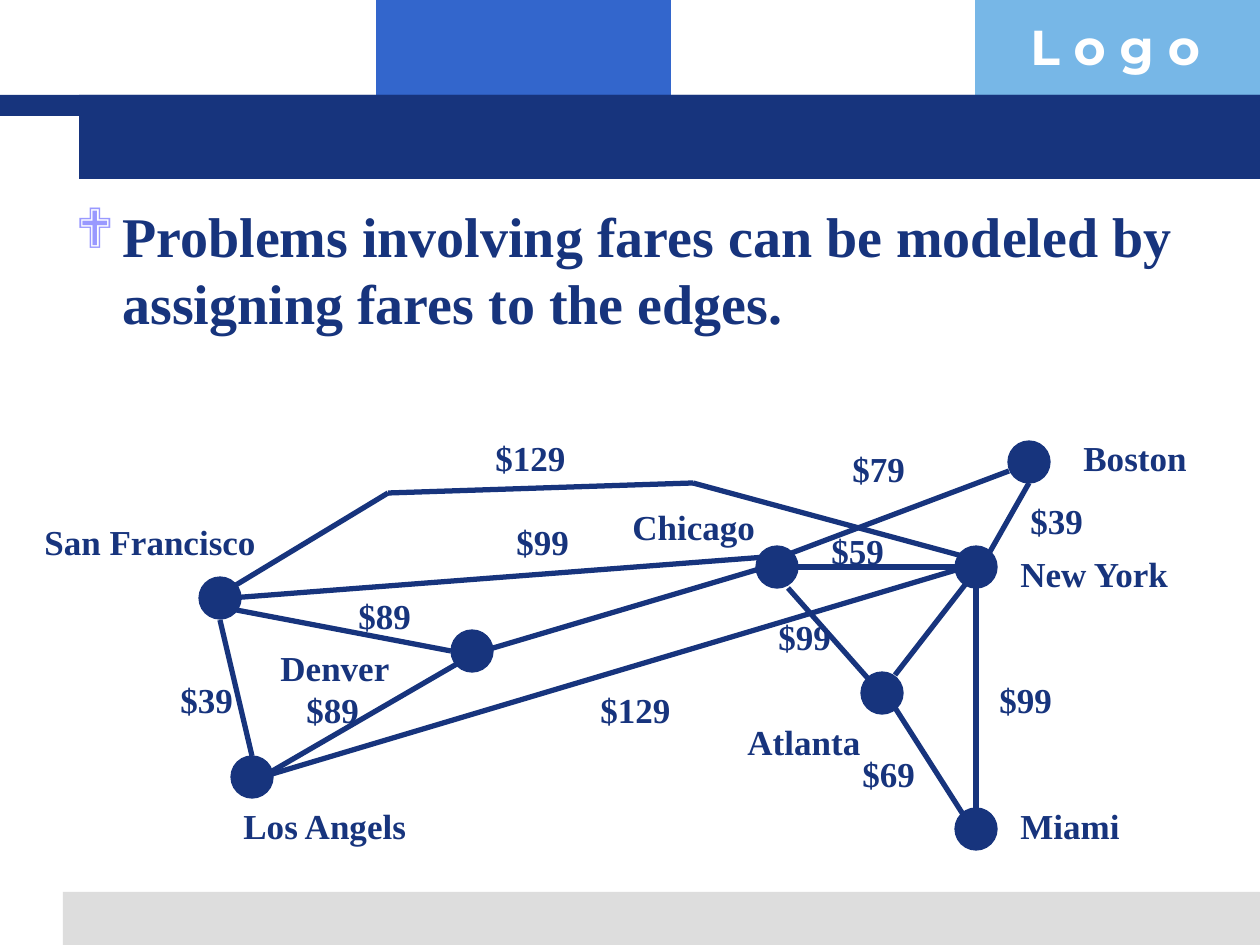
from typing import NamedTuple

from lxml import etree
from pptx import Presentation
from pptx.dml.color import RGBColor
from pptx.enum.shapes import MSO_CONNECTOR, MSO_SHAPE
from pptx.oxml.ns import qn
from pptx.util import Emu, Pt

RECT = MSO_SHAPE.RECTANGLE
OVAL = MSO_SHAPE.OVAL
LINE = MSO_CONNECTOR.STRAIGHT
SCALE = 914400 / 126
SERIF = "Times New Roman"
NODE = 42
HEX = {
    "navy": "17347D",
    "blue": "3366CC",
    "sky": "77B7E7",
    "gray": "DDDDDD",
    "white": "FFFFFF",
    "lilac": "9999FF",
}


class Band(NamedTuple):
    x: int
    y: int
    w: int
    h: int
    color: str


class City(NamedTuple):
    name: str
    x: int
    y: int
    left: int
    top: int
    width: int


class Edge(NamedTuple):
    x1: int
    y1: int
    x2: int
    y2: int


class Fare(NamedTuple):
    text: str
    x: int
    y: int


BANDS = [
    Band(376, 0, 295, 116, "blue"),
    Band(975, 0, 285, 116, "sky"),
    Band(63, 892, 1197, 53, "gray"),
    Band(0, 95, 1260, 21, "navy"),
    Band(79, 95, 1181, 84, "navy"),
]
CITIES = [
    City("San Francisco", 220, 598, 32, 514, 242),
    City("Los Angels", 252, 777, 231, 798, 199),
    City("Denver", 472, 651, 268, 640, 147),
    City("Chicago", 777, 567, 620, 499, 168),
    City("Boston", 1029, 462, 1071, 430, 136),
    City("New York", 976, 567, 1008, 546, 189),
    City("Atlanta", 882, 693, 735, 714, 147),
    City("Miami", 976, 829, 1008, 798, 136),
]
EDGES = [
    Edge(1009, 471, 789, 554),
    Edge(1029, 483, 987, 557),
    Edge(955, 567, 798, 567),
    Edge(968, 581, 895, 675),
    Edge(788, 588, 872, 683),
    Edge(892, 703, 966, 819),
    Edge(976, 588, 976, 819),
    Edge(483, 651, 766, 567),
    Edge(231, 609, 451, 651),
    Edge(262, 777, 462, 661),
    Edge(220, 620, 252, 756),
    Edge(262, 777, 966, 567),
    Edge(231, 598, 766, 557),
    Edge(231, 588, 388, 493),
    Edge(388, 493, 693, 483),
    Edge(693, 483, 966, 557),
]
FARES = [
    Fare("$39", 168, 672),
    Fare("$89", 294, 682),
    Fare("$89", 346, 588),
    Fare("$99", 504, 514),
    Fare("$129", 483, 430),
    Fare("$79", 840, 441),
    Fare("$39", 1018, 493),
    Fare("$59", 819, 523),
    Fare("$129", 588, 682),
    Fare("$99", 987, 672),
    Fare("$69", 850, 746),
    Fare("$99", 766, 609),
]


def px(n: float) -> Emu:
    return Emu(round(n * SCALE))


def rgb(name: str) -> RGBColor:
    return RGBColor.from_string(HEX[name])


def block(slide, kind, x: int, y: int, w: int, h: int, color: str):
    shape = slide.shapes.add_shape(kind, px(x), px(y), px(w), px(h))
    shape.shadow.inherit = False
    shape.fill.solid()
    shape.fill.fore_color.rgb = rgb(color)
    shape.line.fill.background()
    return shape


def node(slide, city: City) -> None:
    half = NODE // 2
    dot = block(slide, OVAL, city.x - half, city.y - half, NODE, NODE, "navy")
    dot.line.color.rgb = rgb("navy")
    dot.line.width = Pt(0.75)


def link(slide, edge: Edge) -> None:
    line = slide.shapes.add_connector(LINE, *map(px, edge))
    line.line.color.rgb = rgb("navy")
    line.line.width = Pt(3)
    etree.SubElement(line._element.spPr, qn("a:effectLst"))


def write(slide, text: str, x: int, y: int, w: int, h: int = 55,
          size: int = 20, face: str = SERIF, color: str = "navy",
          bullet: bool = False) -> None:
    frame = slide.shapes.add_textbox(px(x), px(y), px(w), px(h)).text_frame
    frame.word_wrap = True
    para = frame.paragraphs[0]
    para.text = text
    if bullet:
        props = para._p.get_or_add_pPr()
        props.set("marL", str(px(47)))
        props.set("indent", str(-px(47)))
        tint = etree.SubElement(props, qn("a:buClr"))
        etree.SubElement(tint, qn("a:srgbClr"), val=HEX["lilac"])
        etree.SubElement(props, qn("a:buFont"), typeface="Wingdings")
        etree.SubElement(props, qn("a:buChar"), char="❖")
    font = para.font
    font.name = face
    font.size = Pt(size)
    font.bold = True
    font.color.rgb = rgb(color)


def main() -> None:
    deck = Presentation()
    deck.slide_width, deck.slide_height = px(1260), px(945)
    slide = deck.slides.add_slide(deck.slide_layouts[6])
    for band in BANDS:
        block(slide, RECT, *band)
    write(slide, "L o g o", 1018, 10, 243, 72, 28, "Montserrat", "white")
    write(slide, "Problems involving fares can be modeled by assigning fares "
          "to the edges.", 63, 195, 1134, 214, 32, bullet=True)
    for city in CITIES:
        node(slide, city)
        write(slide, city.name, city.left, city.top, city.width)
    for edge in EDGES:
        link(slide, edge)
    for fare in FARES:
        write(slide, fare.text, fare.x, fare.y, 105)
    deck.save("out.pptx")


if __name__ == "__main__":
    main()
